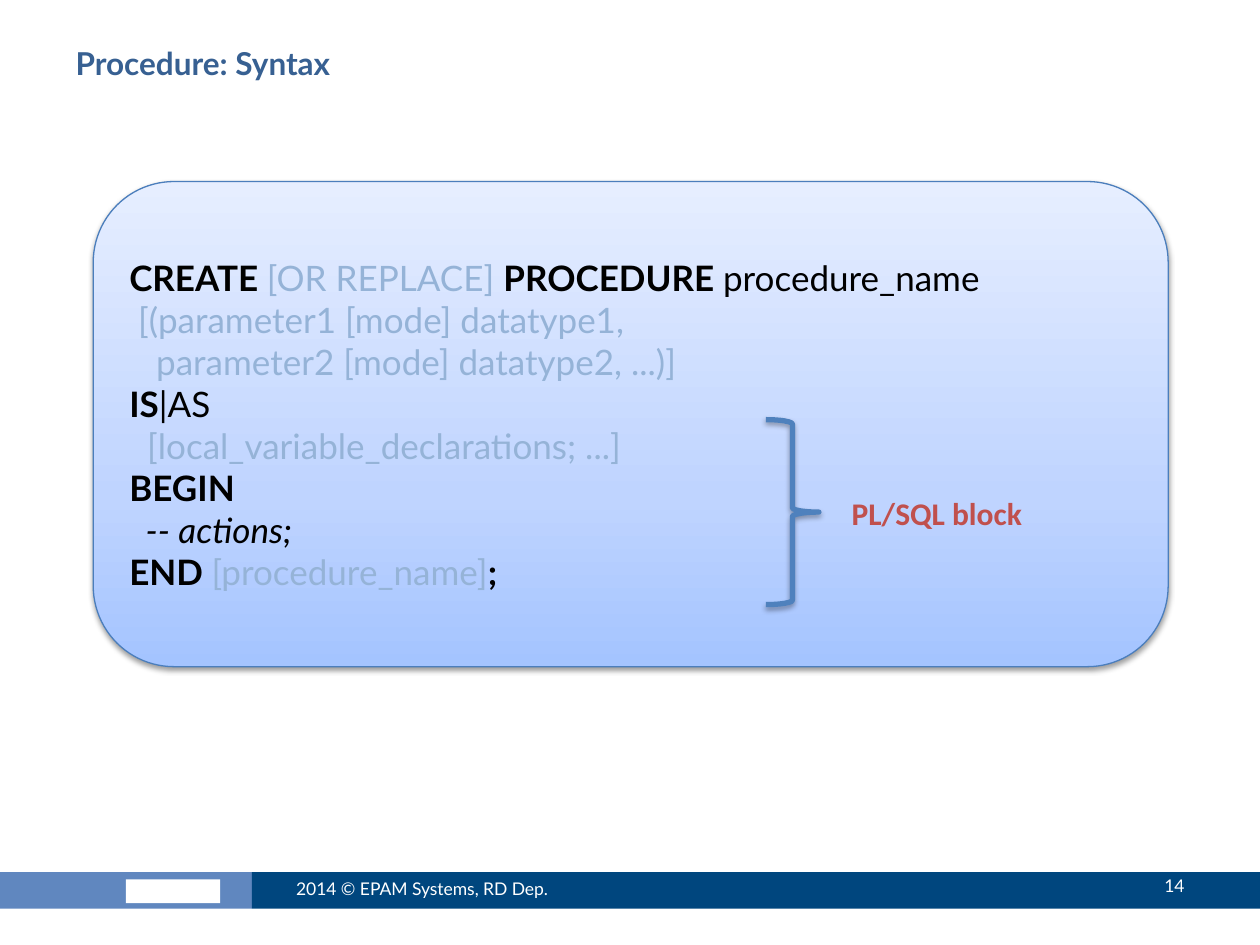
"""Builds a slide explaining the syntax of a PL/SQL procedure."""
from copy import deepcopy
from typing import NamedTuple

from lxml.etree import SubElement
from pptx import Presentation
from pptx.dml.color import RGBColor
from pptx.enum.shapes import MSO_SHAPE
from pptx.enum.text import MSO_ANCHOR, PP_ALIGN
from pptx.oxml.ns import qn
from pptx.shapes.autoshape import Shape
from pptx.slide import Slide
from pptx.text.text import Font
from pptx.util import Cm, Pt

COLORS = {
    "title": "376092",
    "black": "000000",
    "white": "FFFFFF",
    "optional": "95B3D7",
    "label": "C0504D",
    "brace": "4F81BD",
    "panel_line": "4B7EBC",
    "light_bar": "6087BF",
    "dark_bar": "00467E",
}
PANEL_STOPS = [(0, "A4C4FF"), (0.35, "BFD4FF"), (1, "E6EEFF")]


class Box(NamedTuple):
    left: float
    top: float
    width: float
    height: float

    def lengths(self) -> list[Cm]:
        return [Cm(value) for value in self]


class Style(NamedTuple):
    size: float
    color: str
    bold: bool = False
    italic: bool = False
    face: str = "Lato"


class Bar(NamedTuple):
    box: Box
    color: str


class Caption(NamedTuple):
    text: str
    box: Box
    style: Style
    anchor: MSO_ANCHOR = MSO_ANCHOR.MIDDLE
    align: PP_ALIGN = PP_ALIGN.LEFT


KEYWORD = Style(20, "black", bold=True)
PLAIN = Style(20, "black")
OPTIONAL = Style(20, "optional")
COMMENT = Style(20, "black", italic=True)
FOOTER = Style(10, "white")

SYNTAX = [
    [("CREATE ", KEYWORD), ("[OR REPLACE] ", OPTIONAL),
     ("PROCEDURE ", KEYWORD), ("procedure_name", PLAIN)],
    [(" [(parameter1 [mode] datatype1,", OPTIONAL)],
    [("   parameter2 [mode] datatype2, ...)]", OPTIONAL)],
    [("IS", KEYWORD), ("|AS", PLAIN)],
    [("  [local_variable_declarations; ...]", OPTIONAL)],
    [("BEGIN", KEYWORD)],
    [("  -- actions;", COMMENT)],
    [("END ", KEYWORD), ("[procedure_name]", OPTIONAL), (";", KEYWORD)],
]
BARS = [
    Bar(Box(0, 17.58, 5.08, 0.74), "light_bar"),
    Bar(Box(2.54, 17.73, 1.9, 0.48), "white"),
    Bar(Box(5.08, 17.58, 20.32, 0.74), "dark_bar"),
]
CAPTIONS = [
    Caption("2014 © EPAM Systems, RD Dep.", Box(5.72, 17.4, 6.78, 1.02), FOOTER),
    Caption("14", Box(21.39, 17.35, 2.74, 1.02), FOOTER, align=PP_ALIGN.RIGHT),
    Caption("PL/SQL block", Box(16.92, 9.83, 4.67, 1.02),
            Style(18, "label", bold=True, face="Calibri"), MSO_ANCHOR.TOP),
]


def rgb(name: str) -> RGBColor:
    return RGBColor.from_string(COLORS[name])


def apply_style(font: Font, style: Style) -> None:
    font.name = style.face
    font.size = Pt(style.size)
    font.bold = style.bold
    font.italic = style.italic
    font.color.rgb = rgb(style.color)


def add_outline(slide: Slide, preset: MSO_SHAPE, box: Box, color: str, width: float) -> Shape:
    outlined = slide.shapes.add_shape(preset, *box.lengths())
    outlined.line.color.rgb = rgb(color)
    outlined.line.width = Pt(width)
    return outlined


def add_shadow(shape: Shape, distance: float, opacity: int) -> None:
    shape.shadow.inherit = False
    effects = shape._element.spPr.find(qn("a:effectLst"))
    shadow = SubElement(effects, qn("a:outerShdw"), blurRad=str(Pt(3.1)),
                        dist=str(Pt(distance)), dir="5400000", rotWithShape="0")
    tint = SubElement(shadow, qn("a:srgbClr"), val=COLORS["black"])
    SubElement(tint, qn("a:alpha"), val=str(opacity * 1000))


def add_bar(slide: Slide, bar: Bar) -> None:
    strip = slide.shapes.add_shape(MSO_SHAPE.RECTANGLE, *bar.box.lengths())
    strip.shadow.inherit = False
    strip.fill.solid()
    strip.fill.fore_color.rgb = rgb(bar.color)
    strip.line.fill.background()


def add_caption(slide: Slide, caption: Caption) -> None:
    frame = slide.shapes.add_textbox(*caption.box.lengths()).text_frame
    frame.word_wrap = True
    frame.vertical_anchor = caption.anchor
    frame.text = caption.text
    frame.paragraphs[0].alignment = caption.align
    apply_style(frame.paragraphs[0].runs[0].font, caption.style)


def set_title(slide: Slide, text: str) -> None:
    title = slide.shapes.title
    title.left, title.top, title.width, title.height = Box(1.27, 0.76, 22.86, 1.98).lengths()
    title.text_frame.text = text
    title.text_frame.vertical_anchor = MSO_ANCHOR.TOP
    heading = title.text_frame.paragraphs[0]
    heading.alignment = PP_ALIGN.LEFT
    apply_style(heading.runs[0].font, Style(18, "title", bold=True))


def add_syntax_panel(slide: Slide) -> None:
    panel = add_outline(slide, MSO_SHAPE.FLOWCHART_ALTERNATE_PROCESS,
                        Box(1.88, 3.66, 21.67, 9.78), "panel_line", 0.75)
    add_shadow(panel, 1.6, 38)
    panel.fill.gradient()
    panel.fill.gradient_angle = 90
    first_stop = panel._element.spPr.find(".//" + qn("a:gs"))
    first_stop.addnext(deepcopy(first_stop))
    for stop, (position, color) in zip(panel.fill.gradient_stops, PANEL_STOPS):
        stop.position = position
        stop.color.rgb = RGBColor.from_string(color)

    frame = panel.text_frame
    frame.word_wrap = True
    frame.vertical_anchor = MSO_ANCHOR.MIDDLE
    for number, pieces in enumerate(SYNTAX):
        line = frame.add_paragraph() if number else frame.paragraphs[0]
        line.alignment = PP_ALIGN.LEFT
        for text, style in pieces:
            piece = line.add_run()
            piece.text = text
            apply_style(piece.font, style)


def main() -> None:
    deck = Presentation()
    deck.slide_width, deck.slide_height = Cm(25.4), Cm(19.05)
    slide = deck.slides.add_slide(deck.slide_layouts[5])
    set_title(slide, "Procedure: Syntax")
    for bar in BARS:
        add_bar(slide, bar)
    add_syntax_panel(slide)
    brace = add_outline(slide, MSO_SHAPE.RIGHT_BRACE, Box(15.44, 8.46, 1.07, 3.73), "brace", 3)
    brace.fill.background()
    add_shadow(brace, 1.8, 35)
    for caption in CAPTIONS:
        add_caption(slide, caption)
    deck.save("out.pptx")


if __name__ == "__main__":
    main()
